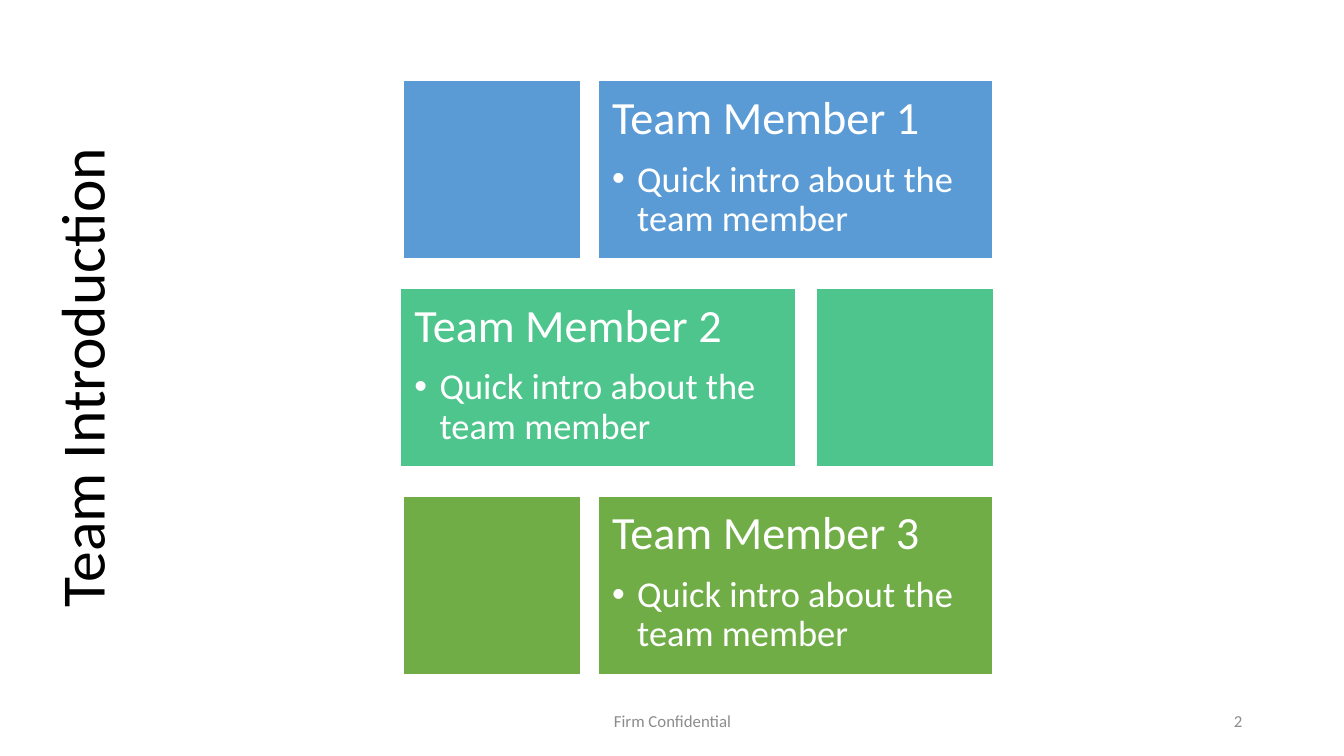
from pptx import Presentation
from pptx.dml.color import RGBColor
from pptx.enum.shapes import MSO_SHAPE as Preset
from pptx.enum.text import MSO_ANCHOR as Anchor, PP_ALIGN as Align
from pptx.oxml.ns import qn
from pptx.util import Inches, Pt
from lxml.etree import SubElement

BLACK = RGBColor(0x00, 0x00, 0x00)
WHITE = RGBColor(0xFF, 0xFF, 0xFF)
GRAY = RGBColor(0x8C, 0x8C, 0x8C)
BLUE = RGBColor(0x5B, 0x9B, 0xD5)
MINT = RGBColor(0x4D, 0xC5, 0x8D)
GREEN = RGBColor(0x70, 0xAD, 0x47)

FONT = "Calibri"
ROW_TOP, ROW_PITCH, ROW_HEIGHT = 0.8, 2.06, 1.77
CARD_WIDTH, ACCENT_WIDTH = 3.92, 1.76
INTRO = "Quick intro about the team member"


def write(paragraph, text, size, color, align=Align.LEFT, spacing=None, after=0, bullet=False):
    paragraph.alignment = align
    paragraph.line_spacing = spacing
    paragraph.space_after = Pt(after)
    run = paragraph.add_run()
    run.text = text
    run.font.name = FONT
    run.font.size = Pt(size)
    run.font.color.rgb = color
    if bullet:
        paragraph.level = 1
        properties = paragraph._p.get_or_add_pPr()
        properties.set("marL", str(Inches(0.25)))
        properties.set("indent", str(Inches(-0.25)))
        SubElement(properties, qn("a:buFont"), typeface="Arial")
        SubElement(properties, qn("a:buChar"), char="•")


class SlideBuilder:
    def __init__(self, slide):
        self.slide = slide

    def label(self, text, left, top, width, height, rotation=0, **style):
        shape = self.slide.shapes.add_textbox(
            Inches(left), Inches(top), Inches(width), Inches(height))
        shape.rotation = rotation
        frame = shape.text_frame
        frame.word_wrap = True
        frame.vertical_anchor = Anchor.MIDDLE
        write(frame.paragraphs[0], text, **style)

    def block(self, left, top, width, color):
        shape = self.slide.shapes.add_shape(
            Preset.RECTANGLE, Inches(left), Inches(top), Inches(width), Inches(ROW_HEIGHT))
        shape.shadow.inherit = False
        shape.fill.solid()
        shape.fill.fore_color.rgb = color
        shape.line.color.rgb = WHITE
        shape.line.width = Pt(1)
        return shape

    def member_card(self, name, left, top, color):
        frame = self.block(left, top, CARD_WIDTH, color).text_frame
        frame.word_wrap = True
        frame.vertical_anchor = Anchor.TOP
        frame.margin_left = frame.margin_right = Inches(0.14)
        frame.margin_top = frame.margin_bottom = Inches(0.14)
        write(frame.paragraphs[0], name, 33, WHITE, spacing=0.9, after=11.5)
        write(frame.add_paragraph(), INTRO, 26, WHITE, spacing=0.9, after=4, bullet=True)


presentation = Presentation()
presentation.slide_width = Inches(13.33)
presentation.slide_height = Inches(7.5)
builder = SlideBuilder(presentation.slides.add_slide(presentation.slide_layouts[6]))

builder.label("Team Introduction", -2.91, 2.91, 7.5, 1.67, rotation=270,
              size=44, color=BLACK, align=Align.CENTER, spacing=0.9)
builder.label("Firm Confidential", 4.42, 6.95, 4.5, 0.4,
              size=12, color=GRAY, align=Align.CENTER)
builder.label("2", 9.42, 6.95, 3, 0.4, size=12, color=GRAY, align=Align.RIGHT)

for index, color in enumerate((BLUE, MINT, GREEN)):
    top = ROW_TOP + index * ROW_PITCH
    card_left, accent_left = (3.97, 8.1) if index % 2 else (5.93, 4)
    builder.member_card(f"Team Member {index + 1}", card_left, top, color)
    builder.block(accent_left, top, ACCENT_WIDTH, color)

presentation.save("out.pptx")
